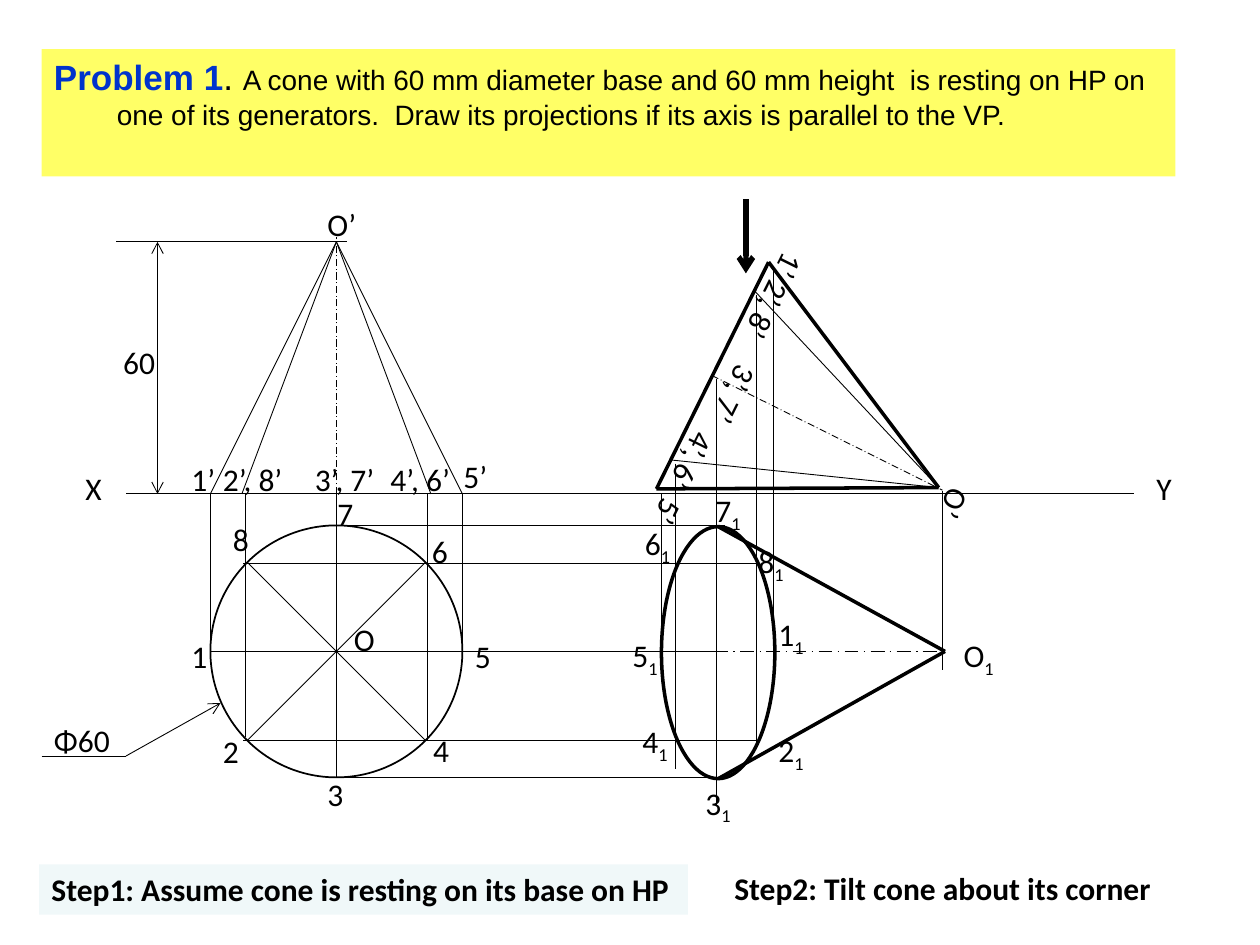
from dataclasses import dataclass
from math import cos, pi, sin

from lxml import etree
from pptx import Presentation
from pptx.dml.color import RGBColor
from pptx.enum.dml import MSO_LINE
from pptx.enum.shapes import MSO_CONNECTOR, MSO_SHAPE
from pptx.enum.text import MSO_ANCHOR, MSO_AUTO_SIZE, PP_ALIGN
from pptx.oxml.ns import qn
from pptx.util import Inches, Pt

STRAIGHT, DASH_DOT = MSO_CONNECTOR.STRAIGHT, MSO_LINE.LONG_DASH_DOT
RECT, OVAL = MSO_SHAPE.RECTANGLE, MSO_SHAPE.OVAL
TOP, LEFT = MSO_ANCHOR.TOP, PP_ALIGN.LEFT
FIT = MSO_AUTO_SIZE.SHAPE_TO_FIT_TEXT

BLACK = RGBColor(0, 0, 0)
BLUE = RGBColor(0x00, 0x33, 0xCC)
YELLOW = RGBColor(0xFF, 0xFF, 0x66)
PALE = RGBColor(0xF0, 0xF8, 0xF9)

THIN, MEDIUM, BOLD, HEAVY = 0.5, 1, 2, 3
TILT = 116.4
LABEL_H = 0.4

# Key points of the drawing, in inches
XY = 3.92                      # ground line
CX, CY, RADIUS = 2.67, 5.17, 1
APEX = (CX, 1.92)
TILT_APEX = (7.45, 3.87)
TILT_CORNER = (5.21, 3.88)
TILT_TOP = (6.1, 2.08)
PLAN_APEX = (7.5, CY)


@dataclass
class Line:
    start: tuple
    end: tuple
    width: float = THIN
    dash: object = None
    head: bool = False
    tail: bool = False


@dataclass
class Label:
    text: str
    left: float
    top: float
    width: float = 0.33
    sub: str = ""
    rotation: float = 0
    bold: bool = False


def add_line(shapes, line: Line) -> None:
    points = [Inches(v) for v in line.start + line.end]
    cn = shapes.add_connector(STRAIGHT, *points)
    cn.line.color.rgb = BLACK
    cn.line.width = Pt(line.width)
    if line.dash:
        cn.line.dash_style = line.dash
    ln = cn.line._get_or_add_ln()
    for tag, wanted in (("a:headEnd", line.head), ("a:tailEnd", line.tail)):
        if wanted:
            etree.SubElement(ln, qn(tag)).set("type", "arrow")
    etree.SubElement(cn._element.spPr, qn("a:effectLst"))


def add_run(p, text: str, **overrides):
    r = p.add_run()
    r.text = text
    fmt = {"name": "Calibri", "size": Pt(18), "bold": False} | overrides
    color = fmt.pop("color", BLACK)
    for key, value in fmt.items():
        setattr(r.font, key, value)
    r.font.color.rgb = color
    return r


def add_label(shapes, label: Label) -> None:
    sp = shapes.add_textbox(Inches(label.left), Inches(label.top),
                            Inches(label.width), Inches(LABEL_H))
    sp.rotation = label.rotation
    tf = sp.text_frame
    tf.word_wrap = False
    tf.auto_size = FIT
    p = tf.paragraphs[0]
    add_run(p, label.text, bold=label.bold)
    if label.sub:
        r = add_run(p, label.sub)
        r.font._element.set("baseline", "-25000")


def add_panel(shapes, left: float, top: float, width: float, height: float, color):
    sp = shapes.add_shape(RECT, Inches(left), Inches(top), Inches(width), Inches(height))
    sp.shadow.inherit = False
    sp.fill.solid()
    sp.fill.fore_color.rgb = color
    sp.line.fill.background()
    sp.text_frame.vertical_anchor = TOP
    sp.text_frame.paragraphs[0].alignment = LEFT
    return sp


def add_oval(shapes, left: float, top: float, width: float, height: float, weight: float) -> None:
    sp = shapes.add_shape(OVAL, Inches(left), Inches(top), Inches(width), Inches(height))
    sp.shadow.inherit = False
    sp.fill.background()
    sp.line.color.rgb = BLACK
    sp.line.width = Pt(weight)


def circle_point(eighth: int) -> tuple:
    angle = eighth * pi / 4
    return (round(CX + RADIUS * cos(angle), 2), round(CY + RADIUS * sin(angle), 2))


def main() -> None:
    prs = Presentation()
    prs.slide_width, prs.slide_height = Inches(10), Inches(7.5)
    shapes = prs.slides.add_slide(prs.slide_layouts[6]).shapes

    # Problem statement
    tf = add_panel(shapes, 0.33, 0.39, 9, 1.01, YELLOW).text_frame
    tf.word_wrap = True
    p = tf.paragraphs[0]
    p.space_before = Pt(4)
    pPr = p._p.get_or_add_pPr()
    pPr.set("marL", str(Inches(0.5)))
    pPr.set("indent", str(-Inches(0.5)))
    add_run(p, "Problem 1", name="Arial", size=Pt(20), bold=True, color=BLUE)
    add_run(p, ". ", name="Arial", size=Pt(20))
    add_run(p, "A cone with 60 mm diameter base and 60 mm height  is resting on HP on "
               "one of its generators.  Draw its projections if its axis is parallel "
               "to the VP.", name="Arial", size=Pt(16))

    # Step captions
    sp = add_panel(shapes, 0.31, 6.86, 5.15, LABEL_H, PALE)
    sp.text_frame.word_wrap = False
    add_run(sp.text_frame.paragraphs[0],
            "Step1: Assume cone is resting on its base on HP", bold=True)
    add_label(shapes, Label("Step2: Tilt cone about its corner", 5.73, 6.85, 3.53, bold=True))

    # Base circle and tilted base in the top view
    add_oval(shapes, CX - RADIUS, CY - RADIUS, 2 * RADIUS, 2 * RADIUS, MEDIUM)
    add_oval(shapes, 5.25, 4.18, 0.9, 2, BOLD)

    lines = [Line((1, XY), (9, XY))]
    # Diameters of the base circle
    lines += [Line(circle_point(i), circle_point(i + 4)) for i in range(4)]
    # Projectors from the circle up to the ground line
    lines += [Line((x, bottom), (x, XY)) for x, bottom in
              ((1.67, 5.22), (3.67, 5.22), (1.95, 5.85), (3.39, 5.88), (CX, 4.42))]
    # Diameter leader and height dimension
    lines += [Line((0.33, 6), (1, 6)),
              Line((1, 6), (1.75, 5.58), tail=True),
              Line((2.75, 1.92), (0.92, 1.92)),
              Line((1.25, 1.92), (1.25, XY), head=True, tail=True)]
    # Upright cone, front view
    lines += [Line((CX, XY), (CX, 1.88), dash=DASH_DOT),
              Line((1.67, XY), (3.67, XY))]
    lines += [Line((x, XY), APEX) for x in (1.67, 1.92, 3.42, 3.67)]
    # Tilted cone, front view
    lines += [Line((5.65, 2.98), (7.48, 3.89), dash=DASH_DOT)]
    lines += [Line(start, TILT_APEX, width) for start, width in
              ((TILT_TOP, BOLD), (TILT_CORNER, BOLD), ((5.99, 2.31), THIN), ((5.32, 3.65), THIN))]
    lines += [Line(TILT_TOP, TILT_CORNER, BOLD)]
    # Projectors down to the tilted top view
    lines += [Line((x, top), (x, bottom)) for x, top, bottom in
              ((5.25, XY, 5.33), (5.36, 3.68, 6.1), (5.69, 3.01, 6.39),
               (6, 2.34, 5.92), (6.14, 2.12, 5.46), (7.48, 3.9, 5.32))]
    # Projectors across from the circle
    lines += [Line((left, y), (right, y)) for left, right, y in
              ((CX, 5.75, 4.17), (CX, 5.75, 6.17), (3.67, 5.67, CY),
               (1.93, 6.01, 4.47), (1.93, 6.01, 5.88))]
    # Tilted cone, top view, and viewing direction
    lines += [Line((5.7, y), PLAN_APEX, BOLD) for y in (6.18, 4.18)]
    lines += [Line((5.67, CY), PLAN_APEX, MEDIUM, DASH_DOT),
              Line((5.92, 1.58), (5.92, 2.17), HEAVY, tail=True)]
    for line in lines:
        add_line(shapes, line)

    # Ground line, dimensions and circle centre
    labels = [Label("X", 0.58, 3.67), Label("Y", 9.08, 3.67, 0.32),
              Label("O", 2.71, 4.87, 0.37), Label("Φ60", 0.33, 5.67, 0.65),
              Label("60", 0.88, 2.67, 0.46)]
    # Circle points 1 to 8
    spots = ((1.42, 5.01), (1.67, 5.76), (2.5, 6.1), (3.34, 5.75),
             (3.67, 5.01), (3.33, 4.17), (2.58, 3.87), (1.75, 4.08))
    labels += [Label(str(n), *spot) for n, spot in enumerate(spots, 1)]
    # Front view points: upright place, then tilted place
    for text, width, upright, tilted in (
            ("1’", 0.39, (1.42, 3.6), (6.07, 1.92)),
            ("2’, 8’", 0.68, (1.67, 3.6), (5.75, 2.27)),
            ("3’, 7’", 0.68, (2.4, 3.6), (5.49, 2.94)),
            ("4’, 6’", 0.68, (3, 3.6), (5.15, 3.47)),
            ("5’", 0.39, (3.58, 3.58), (5.11, 3.87)),
            ("O’", 0.43, (2.5, 1.58), (7.36, 3.8))):
        labels += [Label(text, *upright, width),
                   Label(text, *tilted, width, rotation=TILT)]
    # Tilted top view points, with a wider box for the apex letter
    labels += [Label(text, left, top, 0.42, sub="1") for text, left, top in
               (("5", 4.92, 5), ("4", 5, 5.68), ("3", 5.5, 6.17),
                ("2", 6.08, 5.75), ("1", 6.08, 4.83), ("8", 5.92, 4.25),
                ("7", 5.58, 3.85), ("6", 5.02, 4.11))]
    labels += [Label("O", 7.55, 5, 0.46, sub="1")]
    for label in labels:
        add_label(shapes, label)

    prs.save("out.pptx")


if __name__ == "__main__":
    main()
